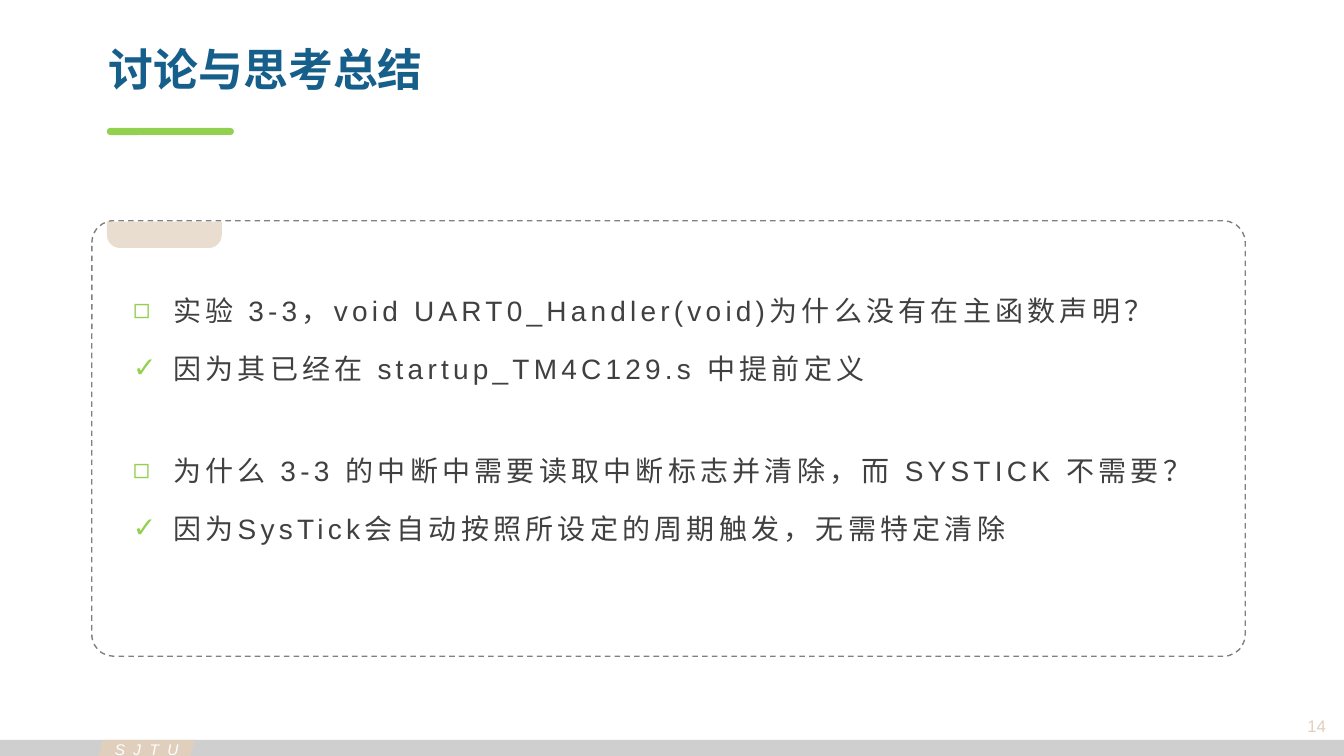
from lxml import etree
from pptx import Presentation
from pptx.dml.color import RGBColor
from pptx.enum.dml import MSO_LINE
from pptx.enum.shapes import MSO_SHAPE
from pptx.enum.text import MSO_ANCHOR, MSO_AUTO_SIZE, PP_ALIGN
from pptx.oxml.ns import qn
from pptx.util import Inches, Pt

SLIDE_WIDTH, SLIDE_HEIGHT = Inches(13.33), Inches(7.5)
RECTANGLE = MSO_SHAPE.RECTANGLE
PARALLELOGRAM = MSO_SHAPE.PARALLELOGRAM
ROUNDED = MSO_SHAPE.ROUNDED_RECTANGLE
ROUNDED_TOP = MSO_SHAPE.ROUND_2_SAME_RECTANGLE
DASH = MSO_LINE.DASH
TOP, MIDDLE = MSO_ANCHOR.TOP, MSO_ANCHOR.MIDDLE
NO_AUTOFIT = MSO_AUTO_SIZE.NONE
LEFT, RIGHT, JUSTIFY = PP_ALIGN.LEFT, PP_ALIGN.RIGHT, PP_ALIGN.JUSTIFY

FONT = "Arial"
GREEN, SAND, BLUE = "92D050", "E0CFBD", "175F8B"
SILVER, GRAY, CHARCOAL, WHITE = "BFBFBF", "808080", "404040", "FFFFFF"
BULLETS = ("◻", "✓")
FOOTER_TOP, FOOTER_HEIGHT = 97.87, 2.13
TEXT_LEFT, TEXT_WIDTH, TEXT_HEIGHT = 9.15, 80.5, 17.2
QUESTION_TOPS = (36.8, 58)

DISCUSSIONS = (
    ("实验 3-3，void UART0_Handler(void)为什么没有在主函数声明？",
     "因为其已经在 startup_TM4C129.s 中提前定义"),
    ("为什么 3-3 的中断中需要读取中断标志并清除，而 SYSTICK 不需要？",
     "因为SysTick会自动按照所设定的周期触发，无需特定清除"),
)


def color(hex_string):
    return RGBColor.from_string(hex_string)


def area(left, top, width, height):
    return (int(SLIDE_WIDTH * left / 100), int(SLIDE_HEIGHT * top / 100),
            int(SLIDE_WIDTH * width / 100), int(SLIDE_HEIGHT * height / 100))


def place(shape, position):
    shape.left, shape.top, shape.width, shape.height = area(*position)


def add_block(slide, kind, position, fill=None, opacity=100, adjustments=()):
    shape = slide.shapes.add_shape(kind, *area(*position))
    shape.shadow.inherit = False
    shape.line.fill.background()
    for index, value in enumerate(adjustments):
        shape.adjustments[index] = value
    if fill is None:
        shape.fill.background()
        return shape
    shape.fill.solid()
    shape.fill.fore_color.rgb = color(fill)
    if opacity < 100:
        fill_color = shape.fill._xPr.find(qn("a:solidFill"))[0]
        etree.SubElement(fill_color, qn("a:alpha"), val=str(opacity * 1000))
    return shape


def prepare_frame(shape, anchor=TOP, wrap=True):
    frame = shape.text_frame
    frame.word_wrap = wrap
    frame.auto_size = NO_AUTOFIT
    frame.vertical_anchor = anchor
    return frame


def write(paragraph, text, size, text_color, alignment, spacing=0,
          bold=False, italic=False):
    run = paragraph.add_run()
    run.text = text
    if spacing:
        run._r.get_or_add_rPr().set("spc", str(spacing * 100))
    paragraph.alignment = alignment
    font = paragraph.font
    font.name, font.size, font.bold, font.italic = FONT, Pt(size), bold, italic
    font.color.rgb = color(text_color)


def add_bullet(paragraph, character):
    properties = paragraph._p.get_or_add_pPr()
    properties.set("marL", str(Inches(0.4)))
    properties.set("indent", str(-Inches(0.4)))
    bullet_color = etree.SubElement(properties, qn("a:buClr"))
    etree.SubElement(bullet_color, qn("a:srgbClr"), val=GREEN)
    etree.SubElement(properties, qn("a:buFont"), typeface=FONT)
    etree.SubElement(properties, qn("a:buChar"), char=character)


def write_discussion(shape, lines):
    frame = prepare_frame(shape)
    for index, (character, line) in enumerate(zip(BULLETS, lines)):
        paragraph = frame.add_paragraph() if index else frame.paragraphs[0]
        add_bullet(paragraph, character)
        paragraph.line_spacing = 1.3
        paragraph.space_before = Pt(10 if index else 0)
        write(paragraph, line, 20, CHARCOAL, JUSTIFY, spacing=3)


def add_label(slide, position, text, size, text_color, alignment,
              anchor=TOP, wrap=True, **style):
    shape = slide.shapes.add_textbox(*area(*position))
    frame = prepare_frame(shape, anchor, wrap)
    write(frame.paragraphs[0], text, size, text_color, alignment, **style)


def add_footer(slide):
    add_block(slide, RECTANGLE, (0, FOOTER_TOP, 100, FOOTER_HEIGHT), SILVER, 75)
    add_block(slide, PARALLELOGRAM,
              (7.35, FOOTER_TOP, 7.13, FOOTER_HEIGHT), SAND)
    add_label(slide, (7.8, 97.2, 6.98, 3.87), "SJTU", 11, WHITE, JUSTIFY,
              wrap=False, spacing=6, italic=True)
    add_label(slide, (90.92, 93.47, 8.48, 5.07), "14", 12, SAND, RIGHT,
              anchor=MIDDLE)


def add_heading(slide, text):
    title = slide.shapes.title
    place(title, (7.35, 5.6, 84.17, 6.93))
    frame = prepare_frame(title, MIDDLE)
    write(frame.paragraphs[0], text, 32, BLUE, LEFT, bold=True)
    add_block(slide, ROUNDED, (7.95, 16.93, 9.45, 0.93), GREEN,
              adjustments=(0.5,))


def add_panel(slide):
    panel = add_block(slide, ROUNDED, (6.83, 29.2, 85.82, 57.6),
                      adjustments=(0.05,))
    panel.line.color.rgb = color(GRAY)
    panel.line.width = Pt(1)
    panel.line.dash_style = DASH
    tab = add_block(slide, ROUNDED_TOP, (7.95, 29.33, 8.55, 3.47), SAND, 70,
                    adjustments=(0.5, 0))
    tab.rotation = 180


def add_discussions(slide):
    first, second = [(TEXT_LEFT, top, TEXT_WIDTH, TEXT_HEIGHT)
                     for top in QUESTION_TOPS]
    body = slide.placeholders[1]
    place(body, first)
    text_box = slide.shapes.add_textbox(*area(*second))
    for shape, lines in zip((body, text_box), DISCUSSIONS):
        write_discussion(shape, lines)


def main():
    presentation = Presentation()
    presentation.slide_width = SLIDE_WIDTH
    presentation.slide_height = SLIDE_HEIGHT
    slide = presentation.slides.add_slide(presentation.slide_layouts[1])
    add_footer(slide)
    add_heading(slide, "讨论与思考总结")
    add_panel(slide)
    add_discussions(slide)
    presentation.save("out.pptx")


if __name__ == "__main__":
    main()
